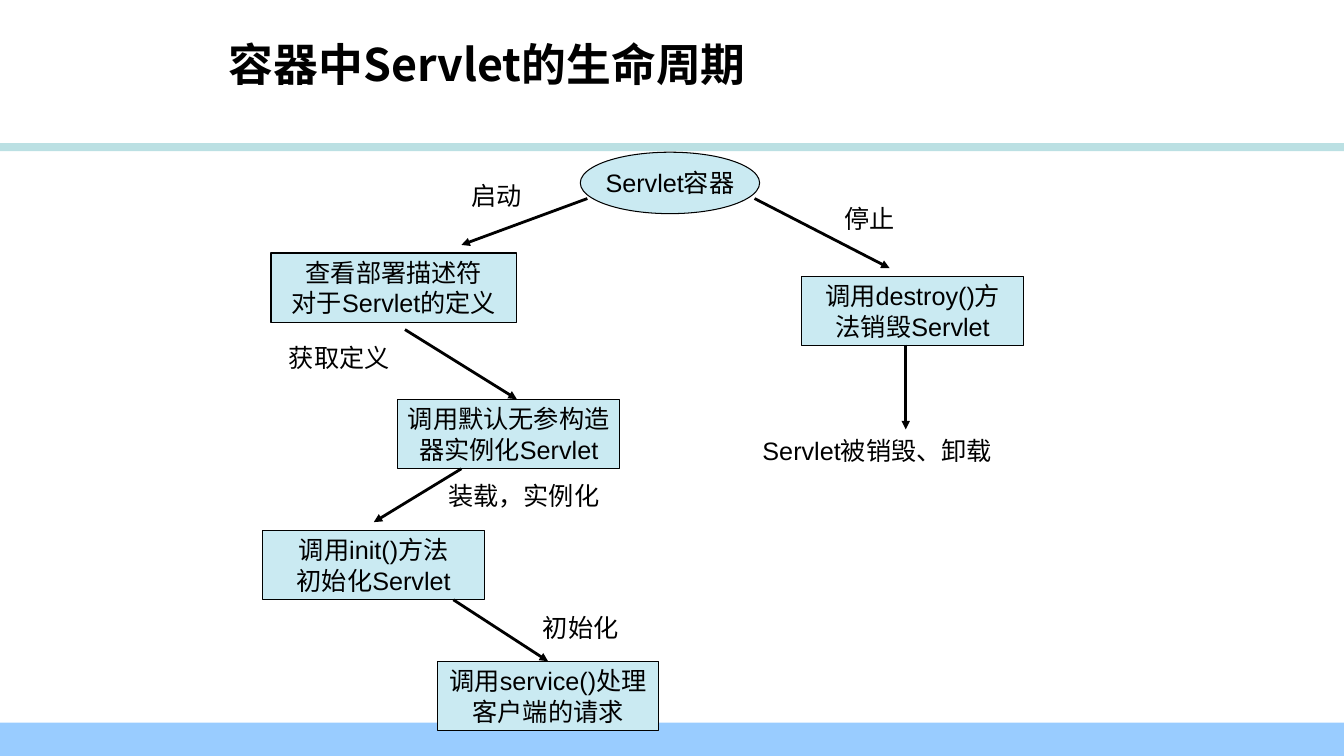
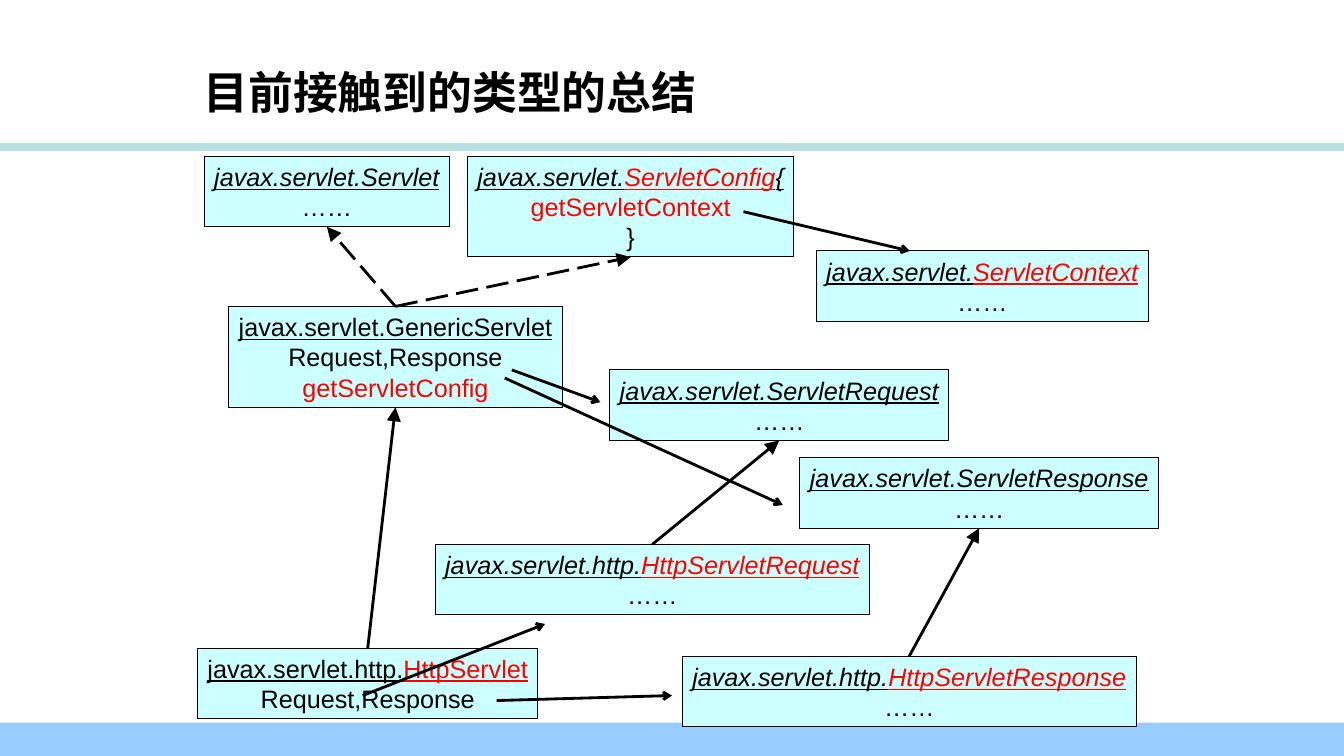
"""Two slides on servlets: the life cycle in the container and a summary of the types."""
from lxml import etree
from pptx import Presentation
from pptx.dml.color import RGBColor
from pptx.enum.dml import MSO_LINE
from pptx.enum.shapes import MSO_CONNECTOR, MSO_SHAPE
from pptx.enum.text import MSO_ANCHOR, MSO_AUTO_SIZE, PP_ALIGN
from pptx.oxml.ns import qn
from pptx.util import Inches, Pt

RECT, OVAL = MSO_SHAPE.RECTANGLE, MSO_SHAPE.OVAL
STRAIGHT, LONG_DASH = MSO_CONNECTOR.STRAIGHT, MSO_LINE.LONG_DASH
LEFT, CENTER, MIDDLE = PP_ALIGN.LEFT, PP_ALIGN.CENTER, MSO_ANCHOR.MIDDLE
NO_FIT = MSO_AUTO_SIZE.NONE
TOP_SITE, BOTTOM_SITE = 0, 2

BLACK = RGBColor(0x00, 0x00, 0x00)
RED = RGBColor(0xFF, 0x00, 0x00)
STEP_FILL = RGBColor(0xCA, 0xEA, 0xF2)
TYPE_FILL = RGBColor(0xCC, 0xFF, 0xFF)
RULE_COLOR = RGBColor(0xBB, 0xE0, 0xE3)
FOOTER_COLOR = RGBColor(0x99, 0xCC, 0xFF)
LATIN_FONT, HAN_FONT = "Arial", "Noto Sans CJK SC"
SLIDE_WIDTH, SLIDE_HEIGHT = 13.34, 7.5
BANDS = [(1.42, 0.08, RULE_COLOR), (7.17, 0.33, FOOTER_COLOR)]

LIFE_CYCLE_TITLE = ("容器中Servlet的生命周期", (2.17, 0.21, 9, 0.85))
CONTAINER = ("Servlet容器", (5.76, 1.51, 1.78, 0.61))
STEP_WIDTH, STEP_HEIGHT = 2.2, 0.69
STEPS = [
    (["查看部署描述符", "对于Servlet的定义"], 2.69, 2.51, 2.44),
    (["调用默认无参构造", "器实例化Servlet"], 3.95, 3.96, STEP_WIDTH),
    (["调用init()方法", "初始化Servlet"], 2.61, 5.26, STEP_WIDTH),
    (["调用service()处理", "客户端的请求"], 4.34, 6.56, STEP_WIDTH),
    (["调用destroy()方", "法销毁Servlet"], 7.96, 2.74, STEP_WIDTH),
]
LABEL_HEIGHT = 0.4
LABELS = [
    ("启动", 4.58, 1.74, 0.7),
    ("获取定义", 2.77, 3.35, 1.2),
    ("装载，实例化", 4.35, 4.72, 1.7),
    ("初始化", 5.29, 6.03, 0.95),
    ("停止", 8.28, 1.97, 0.7),
    ("Servlet被销毁、卸载", 7.47, 4.27, 2.54),
]
TRANSITIONS = [
    ((5.83, 1.97), (4.58, 2.43)),
    ((4.02, 3.27), (5.13, 3.96)),
    ((4.58, 4.65), (3.71, 5.18)),
    ((4.5, 5.95), (5.44, 6.56)),
    ((7.49, 1.97), (8.83, 2.66)),
    ((8.99, 3.42), (8.99, 4.26)),
]

SUMMARY_TITLE = ("目前接触到的类型的总结", (1.92, 0.47, 8, 0.87))
CORE, HTTP = ("javax.servlet.", BLACK), ("javax.servlet.http.", BLACK)
ELLIPSIS = [("……", BLACK)]
EXCHANGE = ("Request,Response", BLACK)
TYPES = {
    "ServletConfig": ((4.64, 1.55, 3.24, 1), True,
                      [CORE, ("ServletConfig", RED), ("{", BLACK)],
                      [("getServletContext", RED), ("}", BLACK)]),
    "HttpServlet": ((1.96, 6.43, 3.38, 0.7), False,
                    [HTTP, ("HttpServlet", RED)], [EXCHANGE]),
    "GenericServlet": ((2.27, 3.04, 3.31, 1), False,
                       [CORE, ("GenericServlet", BLACK)],
                       [EXCHANGE, ("getServletConfig", RED)]),
    "Servlet": ((2.03, 1.55, 2.43, 0.7), True,
                [CORE, ("Servlet", BLACK)], ELLIPSIS),
    "ServletContext": ((8.1, 2.49, 3.3, 0.7), True,
                       [CORE, ("ServletContext", RED)], ELLIPSIS),
    "ServletRequest": ((6.05, 3.67, 3.37, 0.7), True,
                       [CORE, ("ServletRequest", BLACK)], ELLIPSIS),
    "ServletResponse": ((7.94, 4.54, 3.56, 0.7), True,
                        [CORE, ("ServletResponse", BLACK)], ELLIPSIS),
    "HttpServletRequest": ((4.32, 5.4, 4.31, 0.7), True,
                           [HTTP, ("HttpServletRequest", RED)], ELLIPSIS),
    "HttpServletResponse": ((6.77, 6.51, 4.51, 0.7), True,
                            [HTTP, ("HttpServletResponse", RED)], ELLIPSIS),
}
PARENTS = [
    ("GenericServlet", "Servlet", LONG_DASH),
    ("GenericServlet", "ServletConfig", LONG_DASH),
    ("HttpServlet", "GenericServlet", None),
    ("HttpServletRequest", "ServletRequest", None),
    ("HttpServletResponse", "ServletResponse", None),
]
USES = [
    ((7.38, 2.1), (9.03, 2.49)),
    ((5.08, 3.67), (5.96, 3.99)),
    ((3.6, 6.9), (5.41, 6.19)),
    ((4.93, 6.95), (6.67, 6.9)),
    ((5.01, 3.75), (7.77, 5.01)),
]


def inches(values):
    return [Inches(value) for value in values]


def add_run(paragraph, text, color=BLACK, size=18, latin=LATIN_FONT, **styles):
    run = paragraph.add_run()
    run.text = text
    font = run.font
    font.name, font.size = latin, Pt(size)
    font.color.rgb = color
    for style, value in styles.items():
        setattr(font, style, value)
    etree.SubElement(run.font._element, qn("a:ea"), typeface=HAN_FONT)


def write_lines(frame, lines, align):
    """Write lines, each a list of (text, color, styles) runs."""
    frame.word_wrap = False
    for index, runs in enumerate(lines):
        paragraph = frame.paragraphs[0] if index == 0 else frame.add_paragraph()
        paragraph.alignment = align
        for text, color, styles in runs:
            add_run(paragraph, text, color, **styles)


def plain(texts):
    return [[(text, BLACK, {})] for text in texts]


def add_box(slide, kind, place, fill, lines):
    box = slide.shapes.add_shape(kind, *inches(place))
    box.shadow.inherit = False
    box.fill.solid()
    box.fill.fore_color.rgb = fill
    box.line.color.rgb = BLACK
    box.line.width = Pt(0.75)
    box.text_frame.vertical_anchor = MIDDLE
    write_lines(box.text_frame, lines, CENTER)
    return box


def add_arrow(slide, start=(0, 0), end=(0, 0), head="triangle", size="med", dash=None):
    arrow = slide.shapes.add_connector(STRAIGHT, *inches(start + end))
    arrow.line.color.rgb = BLACK
    arrow.line.width = Pt(2)
    if dash is not None:
        arrow.line.dash_style = dash
    properties = arrow.element.spPr
    etree.SubElement(properties.get_or_add_ln(), qn("a:tailEnd"),
                     type=head, w=size, len=size)
    etree.SubElement(properties, qn("a:effectLst"))
    return arrow


def add_titled_slide(prs, text, place):
    slide = prs.slides.add_slide(prs.slide_layouts[5])
    title = slide.shapes.title
    title.left, title.top, title.width, title.height = inches(place)
    frame = title.text_frame
    frame.auto_size, frame.vertical_anchor = NO_FIT, MIDDLE
    frame.paragraphs[0].alignment = LEFT
    add_run(frame.paragraphs[0], text, size=32, latin=HAN_FONT, bold=True)
    return slide


def move_bands_to_master(prs, slide):
    for position, (top, height, color) in enumerate(BANDS, start=2):
        band = slide.shapes.add_shape(RECT, *inches((0, top, SLIDE_WIDTH, height)))
        band.shadow.inherit = False
        band.fill.solid()
        band.fill.fore_color.rgb = color
        band.line.fill.background()
        prs.slide_master.shapes.element.insert(position, band.element)


def draw_life_cycle(slide):
    name, place = CONTAINER
    add_box(slide, OVAL, place, STEP_FILL, plain([name]))
    for texts, left, top, width in STEPS:
        add_box(slide, RECT, (left, top, width, STEP_HEIGHT), STEP_FILL, plain(texts))
    for text, left, top, width in LABELS:
        label = slide.shapes.add_textbox(*inches((left, top, width, LABEL_HEIGHT)))
        write_lines(label.text_frame, plain([text]), LEFT)
    for start, end in TRANSITIONS:
        add_arrow(slide, start, end)


def draw_type_summary(slide):
    boxes = {}
    for name, (place, abstract, heading, members) in TYPES.items():
        styles = {"italic": abstract, "underline": True}
        lines = [[(text, color, styles) for text, color in heading]]
        lines += [[(text, color, {})] for text, color in members]
        boxes[name] = add_box(slide, RECT, place, TYPE_FILL, lines)
    for child, parent, dash in PARENTS:
        arrow = add_arrow(slide, size="lg", dash=dash)
        arrow.begin_connect(boxes[child], TOP_SITE)
        arrow.end_connect(boxes[parent], BOTTOM_SITE)
    for start, end in USES:
        add_arrow(slide, start, end, head="arrow")


def main():
    prs = Presentation()
    prs.slide_width, prs.slide_height = inches((SLIDE_WIDTH, SLIDE_HEIGHT))
    life_cycle = add_titled_slide(prs, *LIFE_CYCLE_TITLE)
    move_bands_to_master(prs, life_cycle)
    draw_life_cycle(life_cycle)
    draw_type_summary(add_titled_slide(prs, *SUMMARY_TITLE))
    prs.save("out.pptx")


if __name__ == "__main__":
    main()
